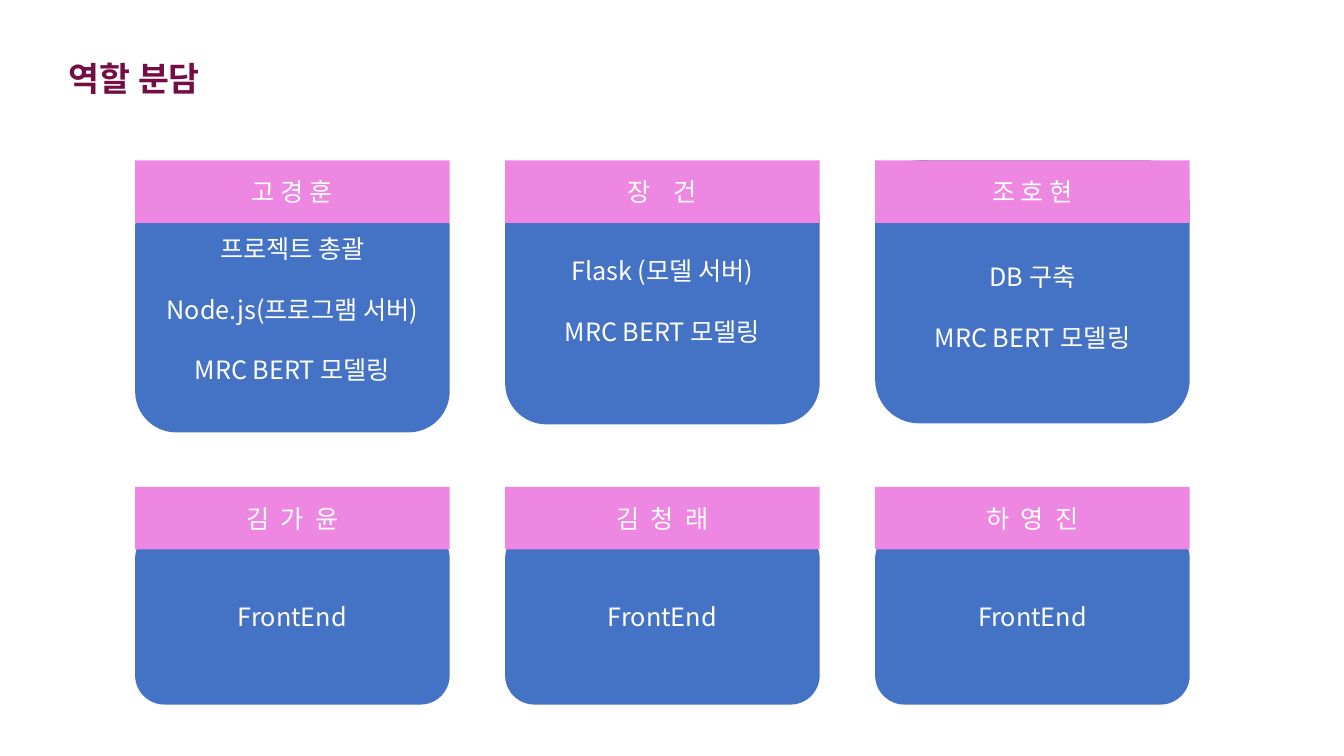
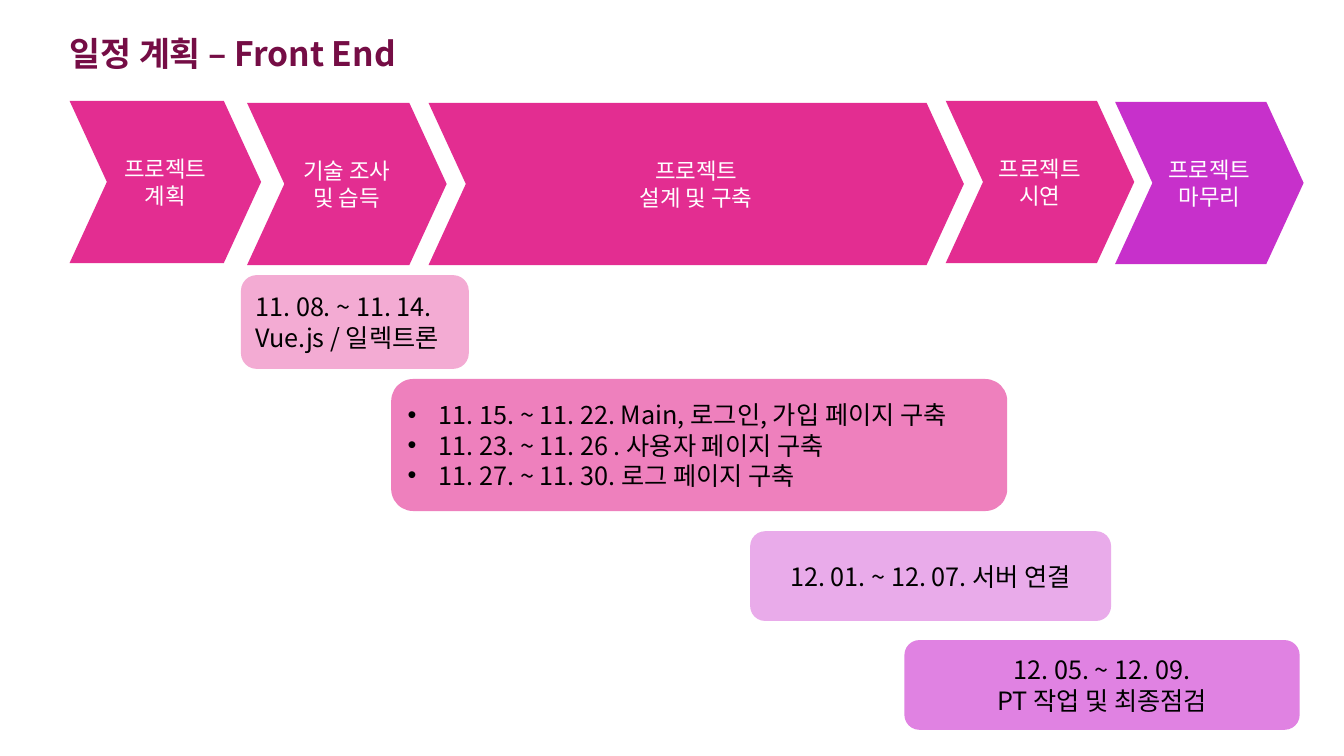
import pptx
import pptx.util
import pptx.dml.color
import pptx.enum.shapes
import pptx.enum.text
import pptx.oxml.ns
import lxml.etree
from dataclasses import dataclass

Inches = pptx.util.Inches
Pt = pptx.util.Pt
Shape = pptx.enum.shapes.MSO_SHAPE
Align = pptx.enum.text.PP_ALIGN
Anchor = pptx.enum.text.MSO_ANCHOR
qn = pptx.oxml.ns.qn


@dataclass(frozen=True)
class Theme:
    font: str = "Noto Sans CJK KR"
    plum: str = "750D45"
    white: str = "FFFFFF"
    black: str = "000000"
    blue: str = "4472C4"
    pink: str = "ED87E1"
    rose: str = "E32D91"
    violet: str = "C730CB"
    blush: str = "F3ABD3"
    coral: str = "EE80BD"
    lilac: str = "E9ABEA"
    orchid: str = "E082E2"
    head: int = 24
    text: int = 18
    step: int = 16


class Deck:
    """Holds the theme and the current slide, and draws each kind of element."""

    def __init__(self, theme):
        self.theme = theme
        self.prs = pptx.Presentation()
        self.prs.slide_width = Inches(13.33)
        self.prs.slide_height = Inches(7.5)
        self.slide = None

    def page(self, title, left, top, layout):
        self.slide = self.prs.slides.add_slide(self.prs.slide_layouts[layout])
        head = self.slide.shapes.title
        self.place(head, left, top, 5.21, 0.5)
        self.label(head, [title], self.theme.plum, self.theme.head, Align.LEFT, bold=True)
        head.text_frame.vertical_anchor = Anchor.TOP

    def place(self, item, left, top, width, height):
        item.left, item.top = Inches(left), Inches(top)
        item.width, item.height = Inches(width), Inches(height)

    def paint(self, item, color):
        item.fill.solid()
        item.fill.fore_color.rgb = pptx.dml.color.RGBColor.from_string(color)

    def label(self, item, lines, color, size, align, bold=False, gap=0, track=0):
        frame = item.text_frame
        frame.text = "\n".join(lines)
        frame.word_wrap = True
        frame.auto_size = pptx.enum.text.MSO_AUTO_SIZE.NONE
        frame.vertical_anchor = Anchor.MIDDLE
        for i, para in enumerate(frame.paragraphs):
            para.alignment = align
            para.space_before = Pt(gap if i else 0)
            font = para.font
            font.name, font.size, font.bold = self.theme.font, Pt(size), bold
            font.color.rgb = pptx.dml.color.RGBColor.from_string(color)
            props = para._p.pPr.find(qn("a:defRPr"))
            lxml.etree.SubElement(props, qn("a:ea")).set("typeface", self.theme.font)
            if track:
                props.set("spc", str(track * 100))

    def block(self, kind, box, fill, lines, color=None, size=None, align=Align.CENTER, **style):
        item = self.slide.shapes.add_shape(kind, *map(Inches, box))
        item.shadow.inherit = False
        item.line.fill.background()
        self.paint(item, fill)
        self.label(item, lines, color or self.theme.white, size or self.theme.text, align, **style)
        return item

    def card(self, left, top, name, track, body, lines, drop=0):
        item = self.block(Shape.ROUNDED_RECTANGLE, (left, body[0], 3.12, body[1]),
                          self.theme.blue, lines, gap=21.5)
        item.text_frame.margin_top = Inches(0.05 + drop)
        self.block(Shape.RECTANGLE, (left, top, 3.12, 0.62), self.theme.pink, [name], track=track)

    def arrow(self, left, top, width, fill, lines):
        item = self.block(Shape.CHEVRON, (left, top, width, 1.61), fill, lines, size=self.theme.step)
        item.adjustments[0] = 0.23

    def note(self, box, fill, lines, align=Align.CENTER):
        self.block(Shape.ROUNDED_RECTANGLE, box, fill, lines, self.theme.black, align=align)

    def points(self, box, fill, lines):
        item = self.slide.placeholders[1]
        self.place(item, *box)
        geom = lxml.etree.SubElement(item._element.spPr, qn("a:prstGeom"), prst="roundRect")
        lxml.etree.SubElement(geom, qn("a:avLst"))
        self.paint(item, fill)
        self.label(item, lines, self.theme.black, self.theme.text, Align.LEFT)
        for para in item.text_frame.paragraphs:
            props = para._p.pPr
            props.set("marL", str(Inches(0.31)))
            props.set("indent", str(-Inches(0.31)))
            mark = lxml.etree.Element(qn("a:buChar"), char="•")
            props.find(qn("a:defRPr")).addprevious(mark)


def roles(deck):
    deck.page("역할 분담", 0.58, 0.52, 5)
    model = "MRC BERT 모델링"
    upper = [
        ("고 경 훈", 0, (1.84, 2.45), ["프로젝트 총괄", "Node.js(프로그램 서버)", model], 0),
        ("장 건", 6, (1.76, 2.45), ["Flask (모델 서버)", model], 0),
        ("조 호 현", 0, (1.59, 2.61), ["DB 구축", model], 0.3),
    ]
    lower = [(name, 2, (5.25, 1.74), ["FrontEnd"], 0)
             for name in ("김 가 윤", "김 청 래", "하 영 진")]
    for top, row in ((1.59, upper), (4.83, lower)):
        for i, card in enumerate(row):
            deck.card(1.34 + 3.67 * i, top, *card)


def plan(deck):
    look = deck.theme
    deck.page("일정 계획 – Front End", 0.59, 0.28, 1)
    steps = [
        (0.69, 1, 1.9, look.rose, ["프로젝트", "계획"]),
        (2.45, 1.02, 1.98, look.rose, ["기술 조사 및 습득"]),
        (4.25, 1.02, 5.31, look.rose, ["프로젝트", "설계 및 구축"]),
        (9.38, 1, 1.87, look.rose, ["프로젝트", "시연"]),
        (11.06, 1.01, 1.87, look.violet, ["프로젝트", "마무리"]),
    ]
    for step in steps:
        deck.arrow(*step)
    deck.note((2.39, 2.73, 2.26, 0.93), look.blush,
              ["11. 08. ~ 11. 14.", "Vue.js / 일렉트론"], Align.LEFT)
    deck.points((3.88, 3.76, 6.11, 1.31), look.coral, [
        "11. 15. ~ 11. 22. Main, 로그인, 가입 페이지 구축",
        "11. 23. ~ 11. 26 . 사용자 페이지 구축",
        "11. 27. ~ 11. 30. 로그 페이지 구축",
    ])
    deck.note((7.44, 5.27, 3.58, 0.89), look.lilac, ["12. 01. ~ 12. 07. 서버 연결"])
    deck.note((8.97, 6.35, 3.92, 0.89), look.orchid,
              ["12. 05. ~ 12. 09.", "PT 작업 및 최종점검"])


def main():
    deck = Deck(Theme())
    roles(deck)
    plan(deck)
    deck.prs.save("out.pptx")


if __name__ == "__main__":
    main()
